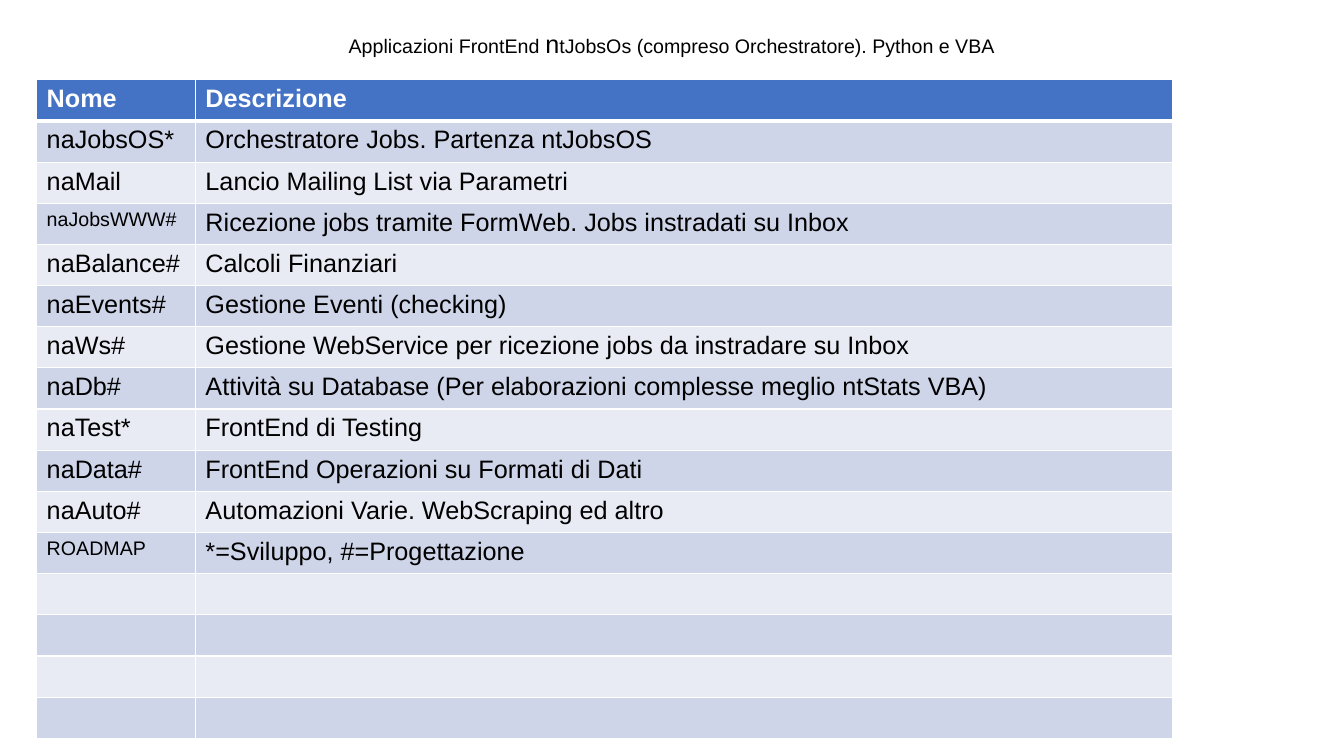
from lxml.etree import SubElement
from pptx import Presentation
from pptx.dml.color import RGBColor
from pptx.enum.text import MSO_ANCHOR, PP_ALIGN
from pptx.oxml.ns import qn
from pptx.util import Pt

TITLE = [
    ("Applicazioni FrontEnd ", 14),
    ("n", 18),
    ("tJobsOs (compreso Orchestratore). Python e VBA", 14),
]
ROWS = [
    ("Nome", "Descrizione"),
    ("naJobsOS*", "Orchestratore Jobs. Partenza ntJobsOS"),
    ("naMail", "Lancio Mailing List via Parametri"),
    ("naJobsWWW#", "Ricezione jobs tramite FormWeb. Jobs instradati su Inbox"),
    ("naBalance#", "Calcoli Finanziari"),
    ("naEvents#", "Gestione Eventi (checking)"),
    ("naWs#", "Gestione WebService per ricezione jobs da instradare su Inbox"),
    ("naDb#", "Attività su Database (Per elaborazioni complesse meglio ntStats VBA)"),
    ("naTest*", "FrontEnd di Testing"),
    ("naData#", "FrontEnd Operazioni su Formati di Dati"),
    ("naAuto#", "Automazioni Varie. WebScraping ed altro"),
    ("ROADMAP", "*=Sviluppo, #=Progettazione"),
]
EMPTY_ROWS = 4
SMALL_NAMES = {"naJobsWWW#", "ROADMAP"}
COLUMN_WIDTHS = (113.4, 698.2)
ROW_HEIGHT = 29.4
HEADER_FILL = "4472C4"
BAND_FILLS = ("E8EBF4", "CFD5E9")
THIN, THICK = 0.96, 3


def color(value):
    return RGBColor.from_string(value)


def set_font(font, value, size=None, bold=False):
    font.name = "Arial"
    font.color.rgb = color(value)
    font.bold = bold
    if size:
        font.size = Pt(size)


def set_borders(cell, top, bottom):
    properties = cell._tc.get_or_add_tcPr()
    for side, width in (("L", THIN), ("R", THIN), ("T", top), ("B", bottom)):
        line = SubElement(properties, qn(f"a:ln{side}"), w=str(Pt(width)))
        fill = SubElement(line, qn("a:solidFill"))
        SubElement(fill, qn("a:srgbClr"), val="FFFFFF")


def add_title(page):
    box = page.shapes.add_textbox(Pt(48), Pt(8.64), Pt(864), Pt(48))
    frame = box.text_frame
    frame.word_wrap = True
    frame.vertical_anchor = MSO_ANCHOR.MIDDLE
    frame.margin_left = frame.margin_right = frame.margin_top = frame.margin_bottom = 0
    para = frame.paragraphs[0]
    para.alignment = PP_ALIGN.CENTER
    para.line_spacing = 0.9
    set_font(para.font, "000000")
    for text, size in TITLE:
        span = para.add_run()
        span.text = text
        span.font.size = Pt(size)


def add_applications(page):
    rows = ROWS + [("", "")] * EMPTY_ROWS
    table = page.shapes.add_table(
        len(rows), len(COLUMN_WIDTHS), Pt(26.2), Pt(57),
        Pt(sum(COLUMN_WIDTHS)), Pt(ROW_HEIGHT * len(rows))).table
    for column, width in zip(table.columns, COLUMN_WIDTHS):
        column.width = Pt(width)
    for index, texts in enumerate(rows):
        table.rows[index].height = Pt(ROW_HEIGHT)
        header = index == 0
        for column, text in enumerate(texts):
            cell = table.cell(index, column)
            set_borders(cell, THICK if index == 1 else THIN, THICK if header else THIN)
            cell.fill.solid()
            cell.fill.fore_color.rgb = color(HEADER_FILL if header else BAND_FILLS[index % 2])
            if text:
                cell.text = text
                set_font(cell.text_frame.paragraphs[0].font,
                         "FFFFFF" if header else "000000",
                         14 if text in SMALL_NAMES else 18, header)


def main():
    deck = Presentation()
    deck.slide_width, deck.slide_height = Pt(960), Pt(540)
    page = deck.slides.add_slide(deck.slide_layouts[6])
    add_title(page)
    add_applications(page)
    deck.save("out.pptx")


if __name__ == "__main__":
    main()
